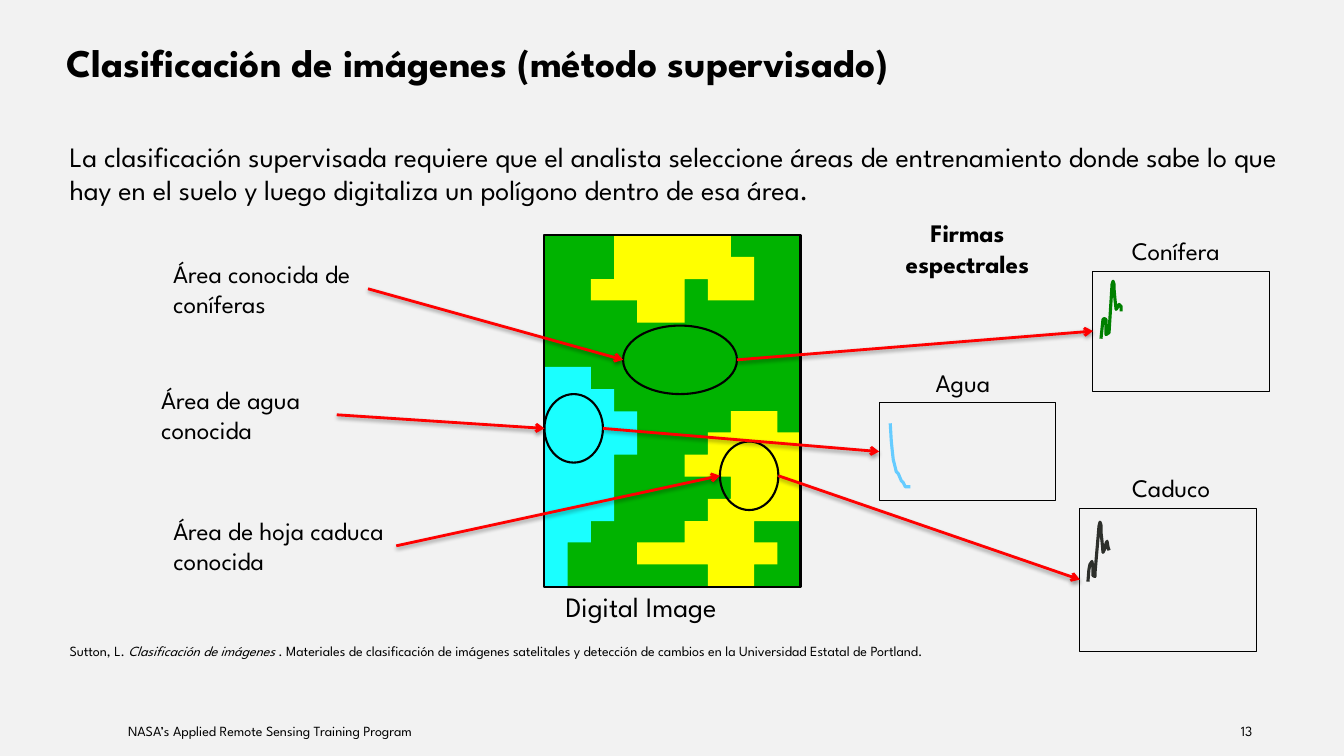
from lxml import etree
from pptx import Presentation
from pptx.dml.color import RGBColor
from pptx.enum.shapes import MSO_CONNECTOR as Connector, MSO_SHAPE as Shape
from pptx.enum.text import MSO_ANCHOR as Anchor, PP_ALIGN as Align
from pptx.oxml import parse_xml
from pptx.oxml.ns import nsdecls, qn
from pptx.util import Pt

PX = 9144
FONT = "League Spartan"
BACKGROUND = RGBColor(0xF2, 0xF2, 0xF2)
BLACK = RGBColor(0x00, 0x00, 0x00)
FOREST = RGBColor(0x00, 0xB3, 0x00)
WATER = RGBColor(0x1A, 0xFF, 0xFF)
DECIDUOUS = RGBColor(0xFF, 0xFF, 0x00)
ARROW = RGBColor(0xFF, 0x00, 0x00)
CONIFER_CURVE = RGBColor(0x00, 0x80, 0x00)
WATER_CURVE = RGBColor(0x66, 0xCC, 0xFF)
DECIDUOUS_CURVE = RGBColor(0x2D, 0x2F, 0x2B)

MAP_BOX = (540, 233, 254, 349)
MAP_COLUMNS, MAP_ROWS = 11, 16
LAND_COVER = [
    (WATER, [(0, 6), (2, 6), (2, 7), (3, 7), (3, 8), (4, 8), (4, 10), (3, 10),
             (3, 13), (2, 13), (2, 14), (1, 14), (1, 16), (0, 16)]),
    (DECIDUOUS, [(3, 0), (3, 2), (2, 2), (2, 3), (4, 3), (4, 4), (6, 4), (6, 2),
                 (7, 2), (7, 3), (9, 3), (9, 1), (8, 1), (8, 0)]),
    (DECIDUOUS, [(11, 9), (10, 9), (10, 8), (8, 8), (8, 9), (7, 9), (7, 10),
                 (6, 10), (6, 11), (8, 11), (8, 12), (7, 12), (7, 13), (6, 13),
                 (6, 14), (4, 14), (4, 15), (7, 15), (7, 16), (9, 16), (9, 15),
                 (10, 15), (10, 14), (9, 14), (9, 13), (11, 13)]),
]
SIGNATURES = [
    ("Conífera", (1084, 269, 175, 119), (24, 126), CONIFER_CURVE,
     [(8, 67), (10, 48), (11, 47), (13, 48), (13, 57), (13, 63), (16, 61), (19, 13),
      (20, 10), (21, 13), (21, 18), (22, 29), (23, 38), (25, 35), (26, 33), (28, 35),
      (28, 40)]),
    ("Agua", (872, 399, 175, 98), (25, 126), WATER_CURVE,
     [(11, 21), (12, 38), (13, 48), (14, 57), (16, 65), (17, 69), (19, 71), (22, 78),
      (24, 80), (26, 84), (31, 84)]),
    ("Caduco", (1071, 504, 175, 142), (17, 157), DECIDUOUS_CURVE,
     [(8, 73), (9, 61), (10, 56), (12, 53), (13, 58), (13, 67), (15, 68), (15, 65),
      (19, 18), (20, 14), (21, 17), (21, 24), (22, 33), (23, 44), (25, 40), (26, 35),
      (27, 33), (28, 39), (29, 42)]),
]
KNOWN_AREAS = [
    ("Área conocida de coníferas", (162, 251, 203, 71), (618, 323, 113, 68)),
    ("Área de agua conocida", (150, 376, 184, 71), (540, 391, 58, 68)),
    ("Área de hoja caduca conocida", (162, 506, 231, 71), (714, 438, 58, 68)),
]


def emu(lengths):
    """Turn px lengths into EMU."""
    return [round(length * PX) for length in lengths]


def add_text(slide, box, runs, size=18, align=Align.LEFT, anchor=Anchor.TOP,
             insets=(10, 5, 10, 5), wrap=True, bold=False):
    """Add a one-paragraph text box from (text, italic) runs."""
    text_box = slide.shapes.add_textbox(*emu(box))
    frame = text_box.text_frame
    left, top, right, bottom = emu(insets)
    frame_format = {"margin_left": left, "margin_top": top, "margin_right": right,
                    "margin_bottom": bottom, "word_wrap": wrap, "vertical_anchor": anchor}
    for name, value in frame_format.items():
        setattr(frame, name, value)
    paragraph = frame.paragraphs[0]
    paragraph.alignment = align
    for text, italic in runs:
        run = paragraph.add_run()
        run.text = text
        run_format = {"name": FONT, "size": Pt(size), "bold": bold, "italic": italic}
        for name, value in run_format.items():
            setattr(run.font, name, value)
        run.font.color.rgb = BLACK
    return text_box


def paint(shape, fill=None, line=None, width=0):
    """Set the fill and outline of a shape, without shadow."""
    shape.shadow.inherit = False
    if fill is None:
        shape.fill.background()
    else:
        shape.fill.solid()
        shape.fill.fore_color.rgb = fill
    if line is None:
        shape.line.fill.background()
    else:
        shape.line.color.rgb = line
        shape.line.width = Pt(width)
    return shape


def add_outline(slide, points, close):
    """Draw straight segments through px points."""
    start, *rest = points
    builder = slide.shapes.build_freeform(*start, scale=PX)
    builder.add_line_segments(rest, close=close)
    return builder.convert_to_shape()


def add_arrow(slide, start, end):
    """Draw a red arrow with a soft shadow between two px points."""
    arrow = slide.shapes.add_connector(Connector.STRAIGHT, *emu(start + end))
    arrow.line.color.rgb = ARROW
    arrow.line.width = Pt(2)
    etree.SubElement(arrow.line._get_or_add_ln(), qn("a:tailEnd"), type="arrow")
    arrow._element.spPr.append(parse_xml(
        f'<a:effectLst {nsdecls("a")}><a:outerShdw blurRad="39370" dist="20320" '
        'dir="5400000" rotWithShape="0"><a:srgbClr val="000000">'
        '<a:alpha val="38000"/></a:srgbClr></a:outerShdw></a:effectLst>'))
    return arrow


def side(box, right):
    """Return the middle of the left or right side of a box."""
    left, top, width, height = box
    return (left + width * right, top + height / 2)


def add_map(slide, box):
    """Draw the classified map, its training areas and its caption."""
    left, top, width, height = box
    paint(slide.shapes.add_shape(Shape.RECTANGLE, *emu(box)), FOREST)
    for color, cells in LAND_COVER:
        corners = [(left + column * width / MAP_COLUMNS, top + row * height / MAP_ROWS)
                   for column, row in cells]
        paint(add_outline(slide, corners, True), color)
    paint(slide.shapes.add_shape(Shape.RECTANGLE, *emu(box)), None, BLACK, 1.5)
    add_text(slide, (left + 21, top + height + 3, 182, 34), [("Digital Image", False)],
             20, insets=(0, 0, 0, 0), wrap=False)
    for _, _, area in KNOWN_AREAS:
        paint(slide.shapes.add_shape(Shape.OVAL, *emu(area)), None, BLACK, 1.5)


def add_known_area(slide, text, box, area):
    """Add a label joined by an arrow to its training area."""
    label = add_text(slide, box, [(text, False)])
    add_arrow(slide, side(box, 1), side(area, 0)).begin_connect(label, 3)


def add_signature(slide, text, box, label_span, color, curve, area):
    """Add a spectral plot with its label, curve and incoming arrow."""
    left, top, _, _ = box
    offset, label_width = label_span
    add_text(slide, (left + offset, top - 40, label_width, 40), [(text, False)],
             align=Align.CENTER, insets=(0, 5, 10, 5))
    points = [(left + x, top + y) for x, y in curve]
    paint(add_outline(slide, points, False), None, color, 2.25)
    plot = paint(slide.shapes.add_shape(Shape.RECTANGLE, *emu(box)), None, BLACK, 0.75)
    add_arrow(slide, side(area, 1), side(box, 0)).end_connect(plot, 1)


def add_page_text(slide, box):
    """Add the title, introduction, reference and footer."""
    left, top, width, _ = box
    wide, indented = (13, 7, 13, 7), (16, 7, 13, 7)
    add_text(slide, (left, top, width, 63),
             [("Clasificación de imágenes (método supervisado)", False)],
             28, anchor=Anchor.MIDDLE, insets=wide, bold=True)
    add_text(slide, (left, top + 101, width, 94),
             [("La clasificación supervisada requiere que el analista seleccione áreas de "
               "entrenamiento donde sabe lo que hay en el suelo y luego digitaliza un "
               "polígono dentro de esa área.", False)], 20, insets=indented)
    add_text(slide, (left, top + 583, width, 48),
             [("Sutton, L. ", False), ("Clasificación de imágenes ", True),
              (". Materiales de clasificación de imágenes satelitales y detección de "
               "cambios en la Universidad Estatal de Portland.", False)],
             10, anchor=Anchor.BOTTOM, insets=indented)
    add_text(slide, (left + 61, top + 680, 429, 30),
             [("NASA’s Applied Remote Sensing Training Program", False)], 10, insets=wide)
    add_text(slide, (left + 1126, top + 680, 76, 30), [("13", False)], 10,
             align=Align.RIGHT, insets=wide)


def main():
    """Build and save the slide."""
    deck = Presentation()
    deck.slide_width, deck.slide_height = emu((1333, 750))
    slide = deck.slides.add_slide(deck.slide_layouts[6])
    slide.background.fill.solid()
    slide.background.fill.fore_color.rgb = BACKGROUND
    add_page_text(slide, (53, 30, 1228, 710))
    add_map(slide, MAP_BOX)
    for known_area in KNOWN_AREAS:
        add_known_area(slide, *known_area)
    add_text(slide, (852, 211, 215, 71), [("Firmas espectrales", False)],
             align=Align.CENTER, bold=True)
    for signature, (_, _, area) in zip(SIGNATURES, KNOWN_AREAS):
        add_signature(slide, *signature, area)
    deck.save("out.pptx")


if __name__ == "__main__":
    main()
